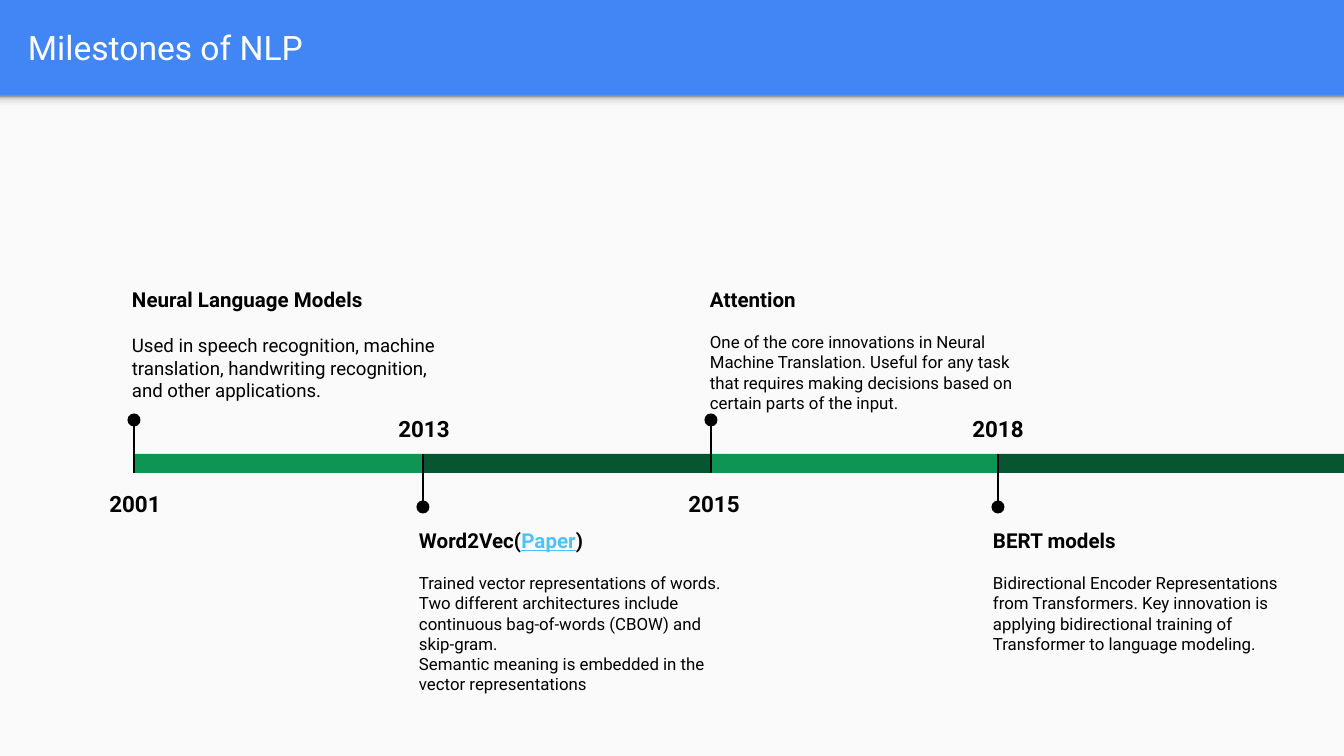
from collections import namedtuple
from copy import deepcopy

from pptx import Presentation
from pptx.dml.color import RGBColor
from pptx.enum.shapes import MSO_CONNECTOR as Connector, MSO_SHAPE as Shape
from pptx.enum.text import MSO_ANCHOR as Anchor, PP_ALIGN as Align
from pptx.oxml.ns import qn
from pptx.util import Emu, Pt

SCALE = 9144000 / 1344
WIDTH, HEIGHT = 1344, 756
HEADER = 96
BAR_TOP, BAR_HEIGHT = 454, 19
BAR_BOTTOM = BAR_TOP + BAR_HEIGHT
STEM, DOT, INSET = 53, 13, 13
BLACK, LINK = "000000", "4FC3F7"
GREENS = ("0E9453", "085631")

Milestone = namedtuple("Milestone", "x year year_x text_x height heading body size")
MILESTONES = [
    Milestone(134, "2001", 135, 119, 138, [("Neural Language Models", BLACK)],
              ["Used in speech recognition, machine translation, handwriting "
               "recognition, and other applications."], 10),
    Milestone(423, "2013", 424, 406, 191,
              [("Word2Vec(", BLACK), ("Paper", LINK), (")", BLACK)],
              ["Trained vector representations of words. Two different "
               "architectures include continuous bag-of-words (CBOW) and skip-gram.",
               "Semantic meaning is embedded in the vector representations"], 9),
    Milestone(711, "2015", 714, 697, 138, [("Attention", BLACK)],
              ["One of the core innovations in Neural Machine Translation. Useful "
               "for any task that requires making decisions based on certain parts "
               "of the input."], 9),
    Milestone(998, "2018", 998, 980, 138, [("BERT models", BLACK)],
              ["Bidirectional Encoder Representations from Transformers. Key "
               "innovation is applying bidirectional training of Transformer to "
               "language modeling."], 9),
]


def px(*lengths):
    """Turn pixel lengths into EMU."""
    return [Emu(round(length * SCALE)) for length in lengths]


def rgb(value):
    """Turn a hex string into a colour."""
    return RGBColor.from_string(value)


def add_block(page, kind, left, top, width, height, color):
    """Add a plain filled shape without outline or shadow."""
    block = page.shapes.add_shape(kind, *px(left, top, width, height))
    block.shadow.inherit = False
    block.fill.solid()
    block.fill.fore_color.rgb = rgb(color)
    block.line.fill.background()
    return block


def add_header_shadow(page):
    """Add the strip that fades downward under the header."""
    strip = add_block(page, Shape.RECTANGLE, 0, HEADER, WIDTH, 16, "F9F9F9")
    strip.fill.gradient()
    strip.fill.gradient_angle = 90
    stop_list = strip.element.spPr.find(qn("a:gradFill")).find(qn("a:gsLst"))
    for stop in list(stop_list):
        stop_list.append(deepcopy(stop))
    fade = [(0, "F9F9F9"), (0.36, "F9F9F9"), (0.8, "DEDEDE"), (1, "999999")]
    for stop, (position, color) in zip(strip.fill.gradient_stops, fade):
        stop.position = position
        stop.color.rgb = rgb(color)


def add_stem(page, x, top, bottom):
    """Add a thin vertical line."""
    stem = page.shapes.add_connector(Connector.STRAIGHT, *px(x, top, x, bottom))
    stem.line.color.rgb = rgb(BLACK)
    stem.line.width = Pt(0.75)
    properties = stem.element.spPr
    properties.append(properties.makeelement(qn("a:effectLst"), {}))


def add_box(page, left, top, width, height, anchor=Anchor.TOP):
    """Add an empty wrapping text box and return its frame."""
    frame = page.shapes.add_textbox(*px(left, top, width, height)).text_frame
    frame.word_wrap = True
    frame.vertical_anchor = anchor
    frame.margin_left = frame.margin_right = px(INSET)[0]
    frame.margin_top = frame.margin_bottom = px(INSET)[0]
    return frame


def write(para, text, size, color=BLACK, bold=False, underline=False,
          align=Align.LEFT, before=0, spacing=1.0):
    """Add a formatted span to a paragraph."""
    para.alignment = align
    para.space_before = Pt(before)
    para.line_spacing = spacing
    span = para.add_run()
    span.text = text
    font = span.font
    font.name, font.size, font.bold = "Roboto", Pt(size), bold
    font.underline = underline
    font.color.rgb = rgb(color)


def add_caption(page, top, item):
    """Add the heading and description of a milestone."""
    frame = add_box(page, item.text_x, top, 331, item.height)
    for text, color in item.heading:
        write(frame.paragraphs[0], text, 11, color, bold=True,
              underline=color == LINK)
    for index, text in enumerate(item.body):
        write(frame.add_paragraph(), text, item.size,
              before=0 if index else 1.2 * item.size)


def add_milestone(page, index, item, end):
    """Add one stretch of the timeline with its pin, year and caption."""
    above = index % 2 == 0
    add_block(page, Shape.RECTANGLE, item.x, BAR_TOP, end - item.x, BAR_HEIGHT,
              GREENS[index % 2])
    pin = BAR_BOTTOM - STEM if above else BAR_TOP + STEM
    add_stem(page, item.x, pin, BAR_BOTTOM if above else BAR_TOP)
    add_block(page, Shape.OVAL, item.x - DOT / 2, pin - DOT / 2, DOT, DOT, BLACK)
    year = add_box(page, item.year_x - 55, BAR_BOTTOM if above else 398, 110, 55)
    write(year.paragraphs[0], item.year, 12, bold=True, align=Align.CENTER,
          spacing=1.15)
    add_caption(page, 274 if above else 515, item)


def main():
    """Build the timeline slide."""
    deck = Presentation()
    deck.slide_width, deck.slide_height = px(WIDTH, HEIGHT)
    page = deck.slides.add_slide(deck.slide_layouts[6])
    page.background.fill.solid()
    page.background.fill.fore_color.rgb = rgb("4285F4")
    add_block(page, Shape.RECTANGLE, 0, HEADER, WIDTH, HEIGHT - HEADER, "FAFAFA")
    add_header_shadow(page)
    title = add_box(page, 15, 3, 1297, 89, Anchor.MIDDLE)
    write(title.paragraphs[0], "Milestones of NLP", 18, "FFFFFF")
    ends = [item.x for item in MILESTONES[1:]] + [WIDTH]
    for index, (item, end) in enumerate(zip(MILESTONES, ends)):
        add_milestone(page, index, item, end)
    deck.save("out.pptx")


if __name__ == "__main__":
    main()
